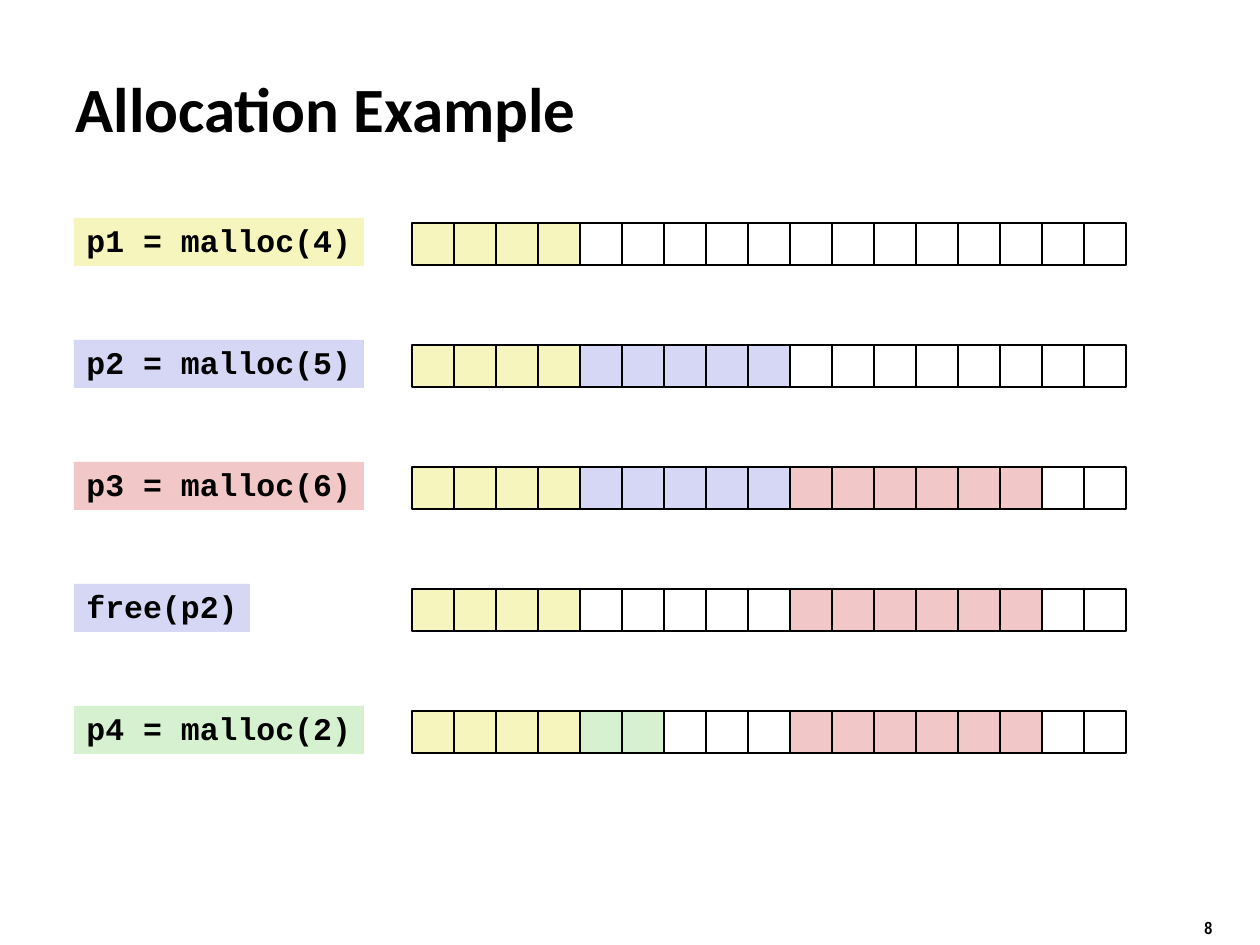
"""Build a slide that shows heap blocks after each allocation call."""
from pptx import Presentation
from pptx.dml.color import RGBColor
from pptx.enum.shapes import MSO_SHAPE
from pptx.enum.text import MSO_ANCHOR, PP_ALIGN
from pptx.util import Emu, Pt

TITLE = "Allocation Example"
PAGE_NUMBER = "8"
BLACK = "000000"
COLORS = {"p1": "F6F5BD", "p2": "D6D6F5", "p3": "F1C7C7", "p4": "D5F1CF", None: "FFFFFF"}
STEPS = [
    ("p1 = malloc(4)", "p1", [("p1", 4), (None, 13)]),
    ("p2 = malloc(5)", "p2", [("p1", 4), ("p2", 5), (None, 8)]),
    ("p3 = malloc(6)", "p3", [("p1", 4), ("p2", 5), ("p3", 6), (None, 2)]),
    ("free(p2)", "p2", [("p1", 4), (None, 5), ("p3", 6), (None, 2)]),
    ("p4 = malloc(2)", "p4", [("p1", 4), ("p4", 2), (None, 3), ("p3", 6), (None, 2)]),
]
CELL = 42
HEAP_LEFT, HEAP_TOP = 412, 223
CALL_LEFT, CALL_TOP, CALL_HEIGHT = 74, 218, 48
CHAR_WIDTH, CALL_PADDING = 19, 24
STEP_PITCH = 122


def px(length):
    return Emu(round(length * 914400 / 126))


def box(*lengths):
    return [px(length) for length in lengths]


def color(hex_code):
    return RGBColor.from_string(hex_code)


def write(shape, text, font_name, size):
    frame = shape.text_frame
    frame.text = text
    paragraph = frame.paragraphs[0]
    paragraph.alignment = PP_ALIGN.LEFT
    font = paragraph.runs[0].font
    font.name, font.size, font.bold = font_name, Pt(size), True
    font.color.rgb = color(BLACK)
    return paragraph


def add_rectangle(shapes, bounds, fill, outlined):
    rectangle = shapes.add_shape(MSO_SHAPE.RECTANGLE, *bounds)
    rectangle.shadow.inherit = False
    rectangle.fill.solid()
    rectangle.fill.fore_color.rgb = color(fill)
    if outlined:
        rectangle.line.color.rgb = color(BLACK)
        rectangle.line.width = Pt(1)
    else:
        rectangle.line.fill.background()
    return rectangle


def add_heap(slide, top, blocks):
    heap = slide.shapes.add_group_shape()
    owners = [owner for owner, count in blocks for _ in range(count)]
    for column, owner in enumerate(owners):
        bounds = box(HEAP_LEFT + column * CELL, top, CELL, CELL)
        add_rectangle(heap.shapes, bounds, COLORS[owner], True)


def add_call(slide, top, text, owner):
    width = len(text) * CHAR_WIDTH + CALL_PADDING
    call = add_rectangle(slide.shapes, box(CALL_LEFT, top, width, CALL_HEIGHT), COLORS[owner], False)
    call.text_frame.word_wrap = False
    call.text_frame.vertical_anchor = MSO_ANCHOR.TOP
    write(call, text, "Courier New", 18).line_spacing = 0.94


def main():
    deck = Presentation()
    deck.slide_width, deck.slide_height = box(1260, 945)
    slide = deck.slides.add_slide(deck.slide_layouts[5])

    title = slide.shapes.title
    title.left, title.top, title.width, title.height = box(63, 68, 891, 79)
    title.text_frame.vertical_anchor = MSO_ANCHOR.MIDDLE
    write(title, TITLE, "Calibri", 36)

    for row, (text, owner, blocks) in enumerate(STEPS):
        add_heap(slide, HEAP_TOP + row * STEP_PITCH, blocks)
        add_call(slide, CALL_TOP + row * STEP_PITCH, text, owner)

    page_number = slide.shapes.add_textbox(*box(1192, 911, 93, 33))
    page_number.text_frame.word_wrap = True
    write(page_number, PAGE_NUMBER, "Arial Narrow", 10)

    deck.save("out.pptx")


if __name__ == "__main__":
    main()
